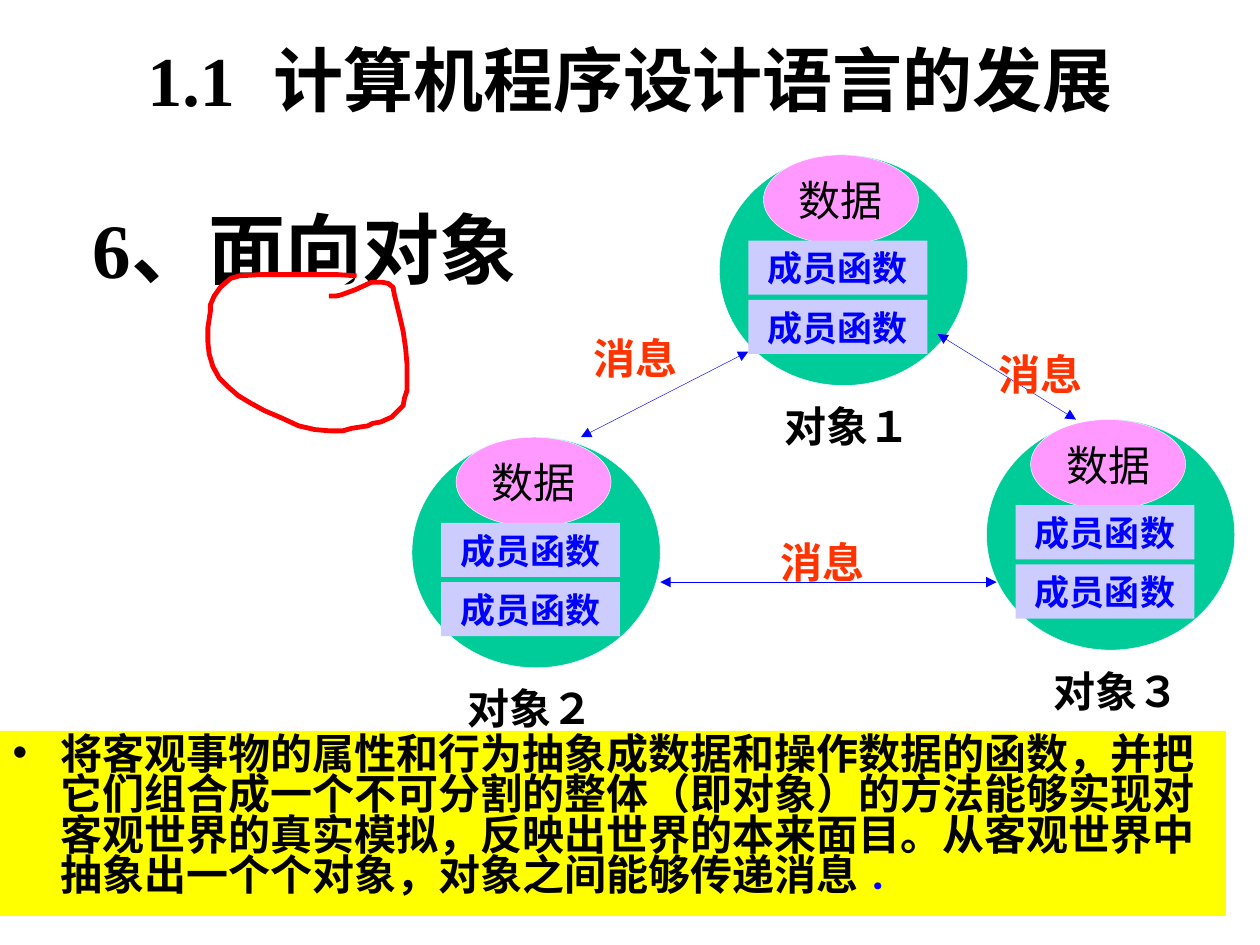
from lxml.etree import SubElement
from pptx import Presentation
from pptx.dml.color import RGBColor
from pptx.enum.shapes import MSO_CONNECTOR, MSO_SHAPE
from pptx.enum.text import MSO_ANCHOR, MSO_AUTO_SIZE, PP_ALIGN
from pptx.oxml.ns import qn
from pptx.util import Inches, Pt


def paint(color, hex_color):
    """Set a fill, line or font colour from a hex string."""
    if hasattr(color, "solid"):
        color.solid()
        color = color.fore_color
    color.rgb = RGBColor.from_string(hex_color)


def write(sp, text, size, color="000000", bold=True, before=0,
          anchor=MSO_ANCHOR.TOP, align=PP_ALIGN.CENTER, wrap=True):
    """Put one formatted paragraph into a shape and return it."""
    tf = sp.text_frame
    tf.auto_size = MSO_AUTO_SIZE.NONE
    tf.word_wrap = wrap
    tf.vertical_anchor = anchor
    p = tf.paragraphs[0]
    p.text = text
    p.alignment = align
    p.space_before = Pt(before)
    p.font.name = "Times New Roman"
    p.font.size = Pt(size)
    p.font.bold = bold
    paint(p.font.color, color)
    return p


prs = Presentation()
prs.slide_width, prs.slide_height = Inches(10), Inches(7.5)
s = prs.slides.add_slide(prs.slide_layouts[1])

# Title and summary
title, body = s.shapes.title, s.placeholders[1]
title.left, title.top = Inches(0.75), Inches(0)
title.width, title.height = Inches(8.5), Inches(1.25)
write(title, "1.1\t计算机程序设计语言的发展", 40, anchor=MSO_ANCHOR.MIDDLE)

body.left, body.top = Inches(0), Inches(5.8)
body.width, body.height = Inches(9.73), Inches(1.47)
paint(body.fill, "FFFF00")
p = write(body, "将客观事物的属性和行为抽象成数据和操作数据的函数，并把它们组合成一个"
          "不可分割的整体（即对象）的方法能够实现对客观世界的真实模拟，反映出世界的"
          "本来面目。从客观世界中抽象出一个个对象，对象之间能够传递消息 ",
          24, before=5, align=PP_ALIGN.LEFT)
p.line_spacing = 0.8
r = p.add_run()
r.text = "．"
r.font.size = Pt(20)
paint(r.font.color, "0000FF")
pPr = p._p.get_or_add_pPr()
pPr.set("marL", str(Inches(0.38)))
pPr.set("indent", str(Inches(-0.38)))

# Objects: a circle holding data and two member functions
objects = [("对象１", 5.71, 1.23, 6.1), ("对象２", 3.27, 3.47, 3.58), ("对象３", 7.83, 3.33, 8.23)]
parts = [  # shape, offset x, offset y, width, height, fill
    (MSO_SHAPE.OVAL, 0, 0, 1.97, 1.83, "00CC99"),
    (MSO_SHAPE.OVAL, 0.35, 0, 1.23, 0.71, "FF99FF"),
    (MSO_SHAPE.RECTANGLE, 0.23, 0.68, 1.42, 0.43, "CCCCFF"),
    (MSO_SHAPE.RECTANGLE, 0.23, 1.15, 1.42, 0.43, "CCCCFF"),
]
for name, x, y, label_x in objects:
    for kind, dx, dy, w, h, fill in parts:
        sp = s.shapes.add_shape(kind, Inches(x + dx), Inches(y + dy), Inches(w), Inches(h))
        sp.shadow.inherit = False
        paint(sp.fill, fill)
        if kind == MSO_SHAPE.RECTANGLE:
            sp.line.fill.background()
            write(sp, "成员函数", 20, "0000FF", before=12.5)
        else:
            paint(sp.line.fill, "FFFFFF")
            sp.line.width = Pt(0.25)
            if fill == "FF99FF":
                write(sp, "数据", 24, bold=False, anchor=MSO_ANCHOR.MIDDLE, wrap=False)
    label = s.shapes.add_textbox(Inches(label_x), Inches(y + 1.9), Inches(1.26), Inches(0.5))
    write(label, name, 24, before=15)

# Messages between the objects
messages = [  # line start, line end, label position
    ((4.61, 3.47), (5.94, 2.79), (4.53, 2.59)),
    ((5.24, 4.62), (7.91, 4.62), (6.02, 4.21)),
    ((7.44, 2.65), (8.54, 3.33), (7.75, 2.72)),
]
for start, end, (x, y) in messages:
    line = s.shapes.add_connector(MSO_CONNECTOR.STRAIGHT, *map(Inches, start + end))
    paint(line.line.fill, "0000FF")
    line.line.width = Pt(0.25)
    ln = line.line._get_or_add_ln()
    for arrow in ("a:headEnd", "a:tailEnd"):
        SubElement(ln, qn(arrow), type="triangle")
    SubElement(line._element.spPr, qn("a:effectLst"))
    label = s.shapes.add_textbox(Inches(x), Inches(y), Inches(1.02), Inches(0.5))
    write(label, "消息", 24, "FF3300", before=15)

# Heading and the hand-drawn loop below it
heading = s.shapes.add_textbox(Inches(0.43), Inches(1.34), Inches(3.98), Inches(1.25))
write(heading, "6、面向对象", 44, anchor=MSO_ANCHOR.MIDDLE)

loop = [
    (2.83, 2.19), (2.68, 2.18), (2.06, 2.18), (1.9, 2.19), (1.83, 2.21), (1.75, 2.28),
    (1.7, 2.35), (1.67, 2.42), (1.67, 2.47), (1.65, 2.6), (1.65, 2.72), (1.66, 2.81),
    (1.69, 2.91), (1.74, 3), (1.81, 3.07), (1.89, 3.14), (1.99, 3.2), (2.1, 3.26),
    (2.24, 3.32), (2.37, 3.38), (2.5, 3.41), (2.62, 3.42), (2.72, 3.42), (2.79, 3.4),
    (2.92, 3.38), (2.96, 3.36), (3.02, 3.35), (3.11, 3.31), (3.2, 3.22), (3.21, 3.16),
    (3.23, 3.1), (3.23, 2.89), (3.22, 2.77), (3.2, 2.63), (3.17, 2.5), (3.13, 2.34),
    (3.12, 2.28), (3.08, 2.25), (3.03, 2.24), (2.95, 2.24), (2.82, 2.3), (2.71, 2.34),
    (2.67, 2.35), (2.61, 2.35),
]
points = [(Inches(x), Inches(y)) for x, y in loop]
builder = s.shapes.build_freeform(*points[0])
builder.add_line_segments(points[1:], close=False)
sp = builder.convert_to_shape()
sp.shadow.inherit = False
paint(sp.fill, "FFFFFF")
paint(sp.line.fill, "FF0000")
sp.line.width = Pt(2.75)

prs.save("out.pptx")
